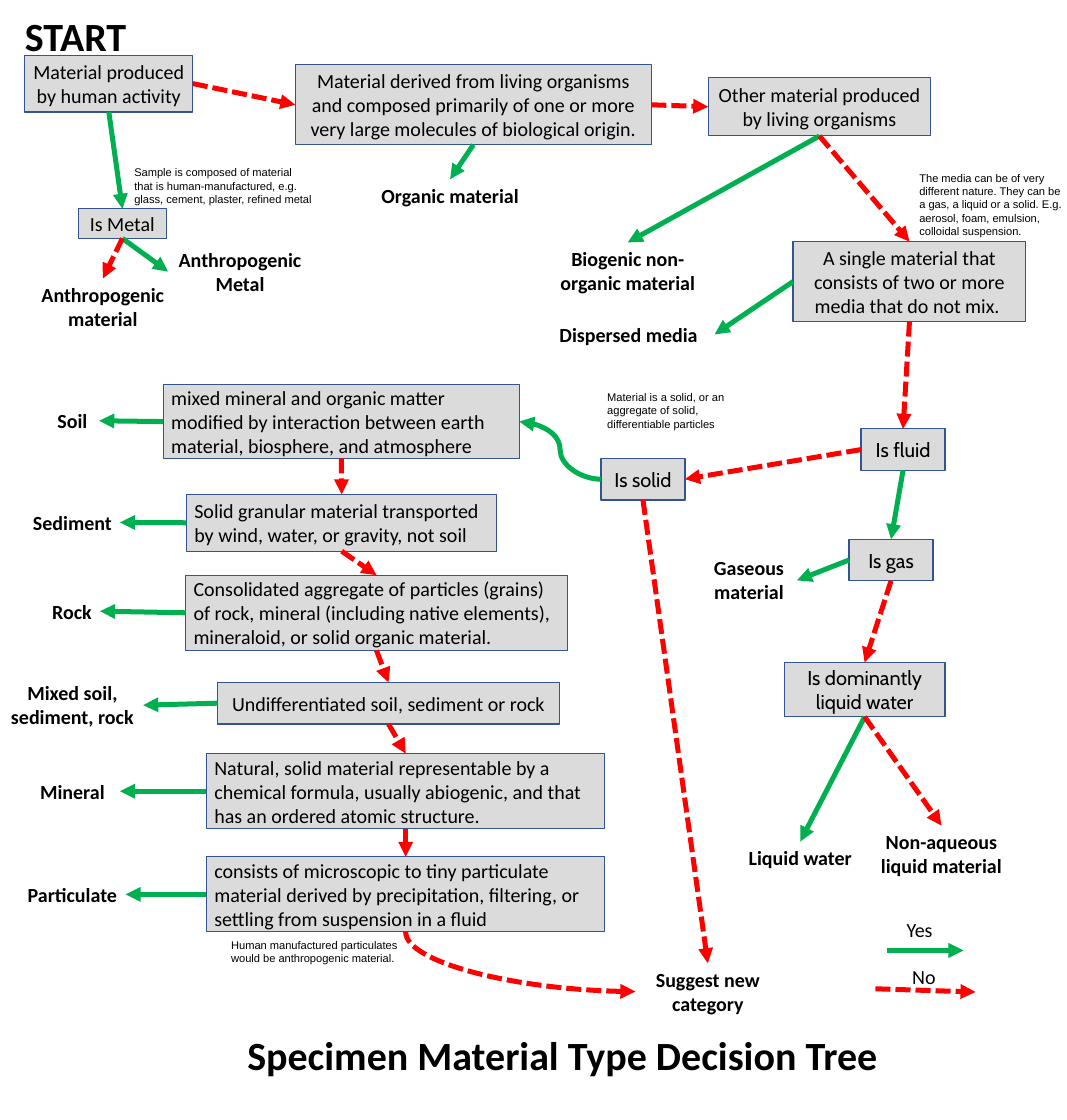
from typing import NamedTuple

from lxml import etree
from pptx import Presentation
from pptx import util as u
from pptx.dml.color import RGBColor
from pptx.enum import dml, shapes, text
from pptx.oxml.ns import qn

COLUMNS, ROWS = 40 / 3, 14  # the slide is a grid of one-inch cells
BLACK = RGBColor(0x00, 0x00, 0x00)
BOX_FILL = RGBColor(0xDB, 0xDB, 0xDB)
BOX_LINE = RGBColor(0x32, 0x54, 0x91)
YES = RGBColor(0x00, 0xB0, 0x50)
NO = RGBColor(0xFF, 0x00, 0x00)

LEFT, CENTER = text.PP_ALIGN.LEFT, text.PP_ALIGN.CENTER
SITES = {"top": 0, "left": 1, "bottom": 2, "right": 3}


class Area(NamedTuple):
    column: float
    row: float
    columns: float
    rows: float

    def lengths(self) -> list[int]:
        return [u.Inches(value) for value in self]


class Question(NamedTuple):
    name: str
    area: Area
    words: str
    align: text.PP_ALIGN = CENTER
    font: str = "Calibri"


class Outcome(NamedTuple):
    name: str
    area: Area
    words: str


class Note(NamedTuple):
    area: Area
    words: str


class Arrow(NamedTuple):
    start: str
    start_side: str
    end: str
    end_side: str
    answer: RGBColor


QUESTIONS = [
    Question("human", Area(0.31, 0.69, 2.1, 0.71), "Material produced by human activity"),
    Question("metal", Area(0.98, 2.61, 1.1, 0.37), "Is Metal"),
    Question("organisms", Area(3.69, 0.81, 4.45, 1),
             "Material derived from living organisms and composed primarily of one "
             "or more very large molecules of biological origin."),
    Question("other", Area(8.85, 0.97, 2.78, 0.73), "Other material produced by living organisms"),
    Question("media", Area(9.91, 3.02, 2.91, 1),
             "A single material that consists of two or more media that do not mix. "),
    Question("fluid", Area(10.76, 5.36, 1.05, 0.52), "Is fluid", font="Cabin"),
    Question("solid", Area(7.51, 5.73, 1.05, 0.52), "Is solid", font="Cabin"),
    Question("gas", Area(10.61, 6.74, 1.05, 0.52), "Is gas", font="Cabin"),
    Question("liquid", Area(9.8, 8.28, 2.01, 0.68), "Is dominantly liquid water", font="Cabin"),
    Question("earth", Area(2.04, 4.81, 4.45, 0.92),
             "mixed mineral and organic matter modified by interaction between earth "
             "material, biosphere, and atmosphere", LEFT),
    Question("granular", Area(2.33, 6.18, 3.88, 0.71),
             "Solid granular material transported by wind, water, or gravity, not soil", LEFT),
    Question("aggregate", Area(2.32, 7.19, 4.77, 0.94),
             "Consolidated aggregate of particles (grains) of rock, mineral (including "
             "native elements), mineraloid, or solid organic material.", LEFT),
    Question("mixture", Area(2.72, 8.53, 4.27, 0.52), "Undifferentiated soil, sediment or rock"),
    Question("ordered", Area(2.58, 9.42, 4.98, 0.94),
             "Natural, solid material representable by a chemical formula, usually "
             "abiogenic, and that has an ordered atomic structure.", LEFT),
    Question("tiny", Area(2.58, 10.71, 4.98, 0.94),
             "consists of microscopic to tiny particulate material derived by "
             "precipitation, filtering, or settling from suspension in a fluid", LEFT),
]

OUTCOMES = [
    Outcome("Organic", Area(4.63, 2.24, 1.99, 0.4), "Organic material"),
    Outcome("Dispersed", Area(6.78, 3.98, 2.15, 0.4), "Dispersed media"),
    Outcome("Metal", Area(2.1, 3.04, 1.8, 0.71), "Anthropogenic Metal"),
    Outcome("Anthropogenic", Area(0.2, 3.48, 2.17, 0.71), "Anthropogenic material"),
    Outcome("Biogenic", Area(6.85, 3.03, 1.99, 0.71), "Biogenic non-organic material"),
    Outcome("Gaseous", Area(8.76, 6.9, 1.2, 0.71), "Gaseous material"),
    Outcome("Water", Area(9.24, 10.52, 1.52, 0.4), "Liquid water"),
    Outcome("Non-aqueous", Area(10.9, 10.32, 1.73, 0.71), "Non-aqueous liquid material"),
    Outcome("Soil", Area(0.57, 5.06, 0.67, 0.4), "Soil"),
    Outcome("Sediment", Area(0.31, 6.33, 1.19, 0.4), "Sediment"),
    Outcome("Rock", Area(0.55, 7.44, 0.7, 0.4), "Rock"),
    Outcome("Mixed", Area(0.02, 8.46, 1.77, 0.71), "Mixed soil, sediment, rock"),
    Outcome("Mineral", Area(0.31, 9.69, 1.19, 0.4), "Mineral"),
    Outcome("Particulate", Area(0.24, 10.98, 1.33, 0.4), "Particulate"),
    Outcome("New", Area(7.94, 12.04, 1.81, 0.71), "Suggest new category"),
]

NOTES = [
    Note(Area(1.58, 2.02, 2.42, 0.61), "Sample is composed of material that is "
         "human-manufactured, e.g. glass, cement, plaster, refined metal"),
    Note(Area(11.39, 2.09, 2, 0.94), "The media can be of very different nature. They can be "
         "a gas, a liquid or a solid. E.g. aerosol, foam, emulsion, colloidal suspension."),
    Note(Area(7.49, 4.83, 1.7, 0.61),
         "Material is a solid, or an aggregate of solid, differentiable particles"),
    Note(Area(2.79, 11.68, 2.42, 0.44),
         "Human manufactured particulates would be anthropogenic material."),
]

SOLID_CHAIN = ["earth", "granular", "aggregate", "mixture", "ordered", "tiny"]
SOLID_OUTCOMES = ["Soil", "Sediment", "Rock", "Mixed", "Mineral", "Particulate"]

ARROWS = [
    Arrow("human", "right", "organisms", "left", NO),
    Arrow("human", "bottom", "metal", "top", YES),
    Arrow("metal", "bottom", "Metal", "left", YES),
    Arrow("metal", "bottom", "Anthropogenic", "top", NO),
    Arrow("organisms", "right", "other", "left", NO),
    Arrow("organisms", "bottom", "Organic", "top", YES),
    Arrow("other", "bottom", "Biogenic", "top", YES),
    Arrow("other", "bottom", "media", "top", NO),
    Arrow("media", "left", "Dispersed", "right", YES),
    Arrow("media", "bottom", "fluid", "top", NO),
    Arrow("fluid", "bottom", "gas", "top", YES),
    Arrow("fluid", "left", "solid", "right", NO),
    Arrow("gas", "left", "Gaseous", "right", YES),
    Arrow("gas", "bottom", "liquid", "top", NO),
    Arrow("liquid", "bottom", "Water", "top", YES),
    Arrow("liquid", "bottom", "Non-aqueous", "top", NO),
    Arrow("solid", "bottom", "New", "top", NO),
    *(Arrow(a, "bottom", b, "top", NO) for a, b in zip(SOLID_CHAIN, SOLID_CHAIN[1:])),
    *(Arrow(a, "left", b, "right", YES) for a, b in zip(SOLID_CHAIN, SOLID_OUTCOMES)),
]


def write(shape, words: str, *, size=18, font="Calibri", bold=False, align=CENTER,
          wrap=True, anchor=text.MSO_ANCHOR.TOP, fit=text.MSO_AUTO_SIZE.SHAPE_TO_FIT_TEXT):
    frame = shape.text_frame
    frame.word_wrap, frame.auto_size, frame.vertical_anchor = wrap, fit, anchor
    paragraph = frame.paragraphs[0]
    paragraph.alignment = align
    run = paragraph.add_run()
    run.text = words
    run.font.size, run.font.name, run.font.bold = u.Pt(size), font, bold
    run.font.color.rgb = BLACK
    return shape


def add_text(slide, area: Area, words: str, **style):
    return write(slide.shapes.add_textbox(*area.lengths()), words, **style)


def add_question(slide, question: Question):
    shape = slide.shapes.add_shape(shapes.MSO_SHAPE.RECTANGLE, *question.area.lengths())
    shape.shadow.inherit = False
    shape.fill.solid()
    shape.fill.fore_color.rgb = BOX_FILL
    shape.line.color.rgb = BOX_LINE
    shape.line.width = u.Pt(1)
    return write(shape, question.words, font=question.font, align=question.align,
                 anchor=text.MSO_ANCHOR.MIDDLE, fit=text.MSO_AUTO_SIZE.NONE)


def format_arrow(connector, answer: RGBColor, end="tailEnd") -> None:
    connector.line.color.rgb = answer
    connector.line.width = u.Pt(4.5)
    if answer == NO:
        connector.line.dash_style = dml.MSO_LINE.SQUARE_DOT
    etree.SubElement(connector.line._get_or_add_ln(), qn(f"a:{end}"), type="triangle")
    etree.SubElement(connector._element.spPr, qn("a:effectLst"))


def add_arrow(slide, nodes: dict, arrow: Arrow, kind=shapes.MSO_CONNECTOR.STRAIGHT,
              end="tailEnd"):
    connector = slide.shapes.add_connector(kind, 0, 0, 0, 0)
    connector.begin_connect(nodes[arrow.start], SITES[arrow.start_side])
    connector.end_connect(nodes[arrow.end], SITES[arrow.end_side])
    format_arrow(connector, arrow.answer, end)
    return connector


def add_legend(slide, area: Area, words: str, line: tuple, answer: RGBColor) -> None:
    add_text(slide, area, words, align=LEFT, wrap=False)
    ends = [u.Inches(value) for value in line]
    format_arrow(slide.shapes.add_connector(shapes.MSO_CONNECTOR.STRAIGHT, *ends), answer)


def main() -> None:
    presentation = Presentation()
    presentation.slide_width, presentation.slide_height = u.Inches(COLUMNS), u.Inches(ROWS)
    slide = presentation.slides.add_slide(presentation.slide_layouts[5])

    title = slide.shapes.title
    title.left, title.top, title.width, title.height = Area(1.33, 12.83, 11.4, 0.71).lengths()
    write(title, "Specimen Material Type Decision Tree", size=36, bold=True)
    add_text(slide, Area(0.16, 0.09, 1.57, 0.71), "START", size=36, bold=True)

    nodes = {question.name: add_question(slide, question) for question in QUESTIONS}
    for outcome in OUTCOMES:
        nodes[outcome.name] = add_text(slide, outcome.area, outcome.words, bold=True)
    for note in NOTES:
        add_text(slide, note.area, note.words, size=10, font="Arial", align=LEFT)

    for arrow in ARROWS:
        add_arrow(slide, nodes, arrow)
    curve = shapes.MSO_CONNECTOR.CURVE
    add_arrow(slide, nodes, Arrow("solid", "left", "earth", "right", YES), curve)
    # A single bend leaves its start sideways, so this one runs backwards.
    bend = add_arrow(slide, nodes, Arrow("New", "left", "tiny", "bottom", NO), curve, "headEnd")
    bend._element.spPr.find(qn("a:prstGeom")).set("prst", "curvedConnector2")

    add_legend(slide, Area(11.23, 11.42, 0.53, 0.4), "Yes", (11.09, 11.88, 12.04, 11.88), YES)
    add_legend(slide, Area(11.3, 12.01, 0.5, 0.4), "No", (10.94, 12.36, 12.19, 12.4), NO)
    presentation.save("out.pptx")


if __name__ == "__main__":
    main()
